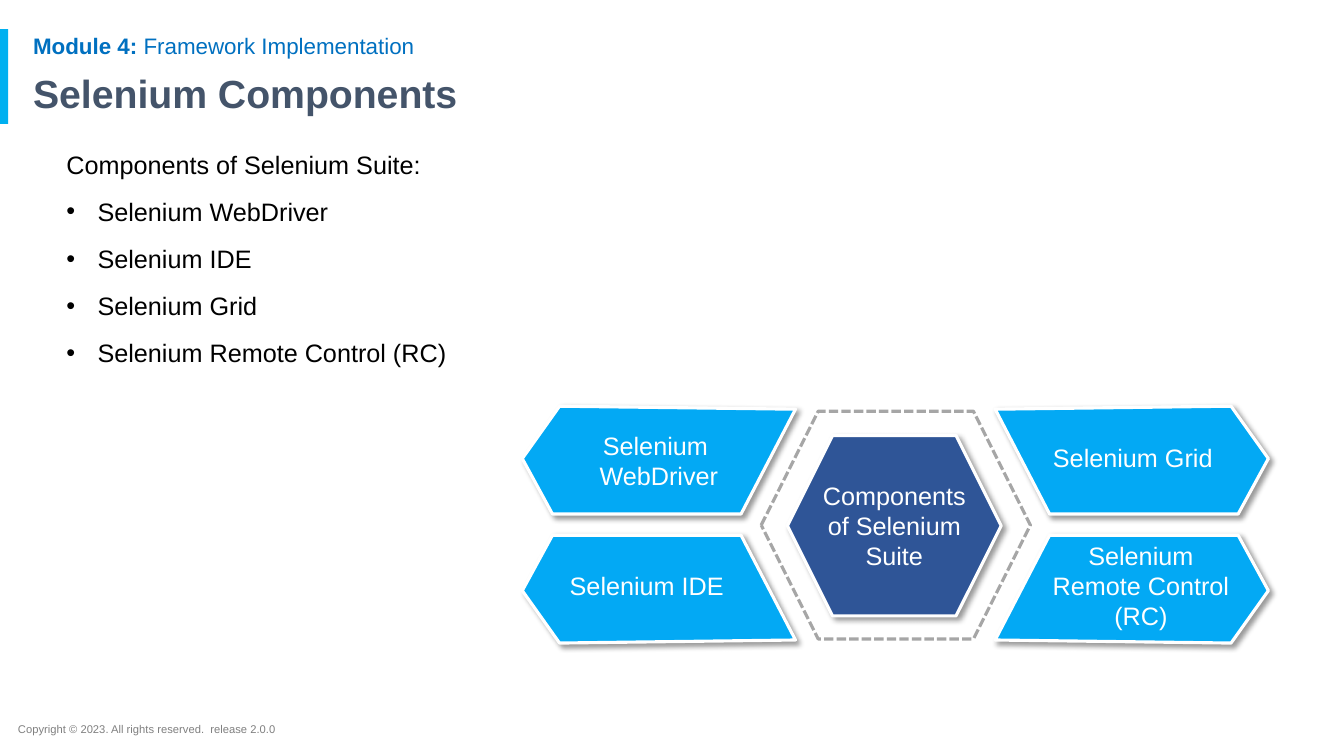
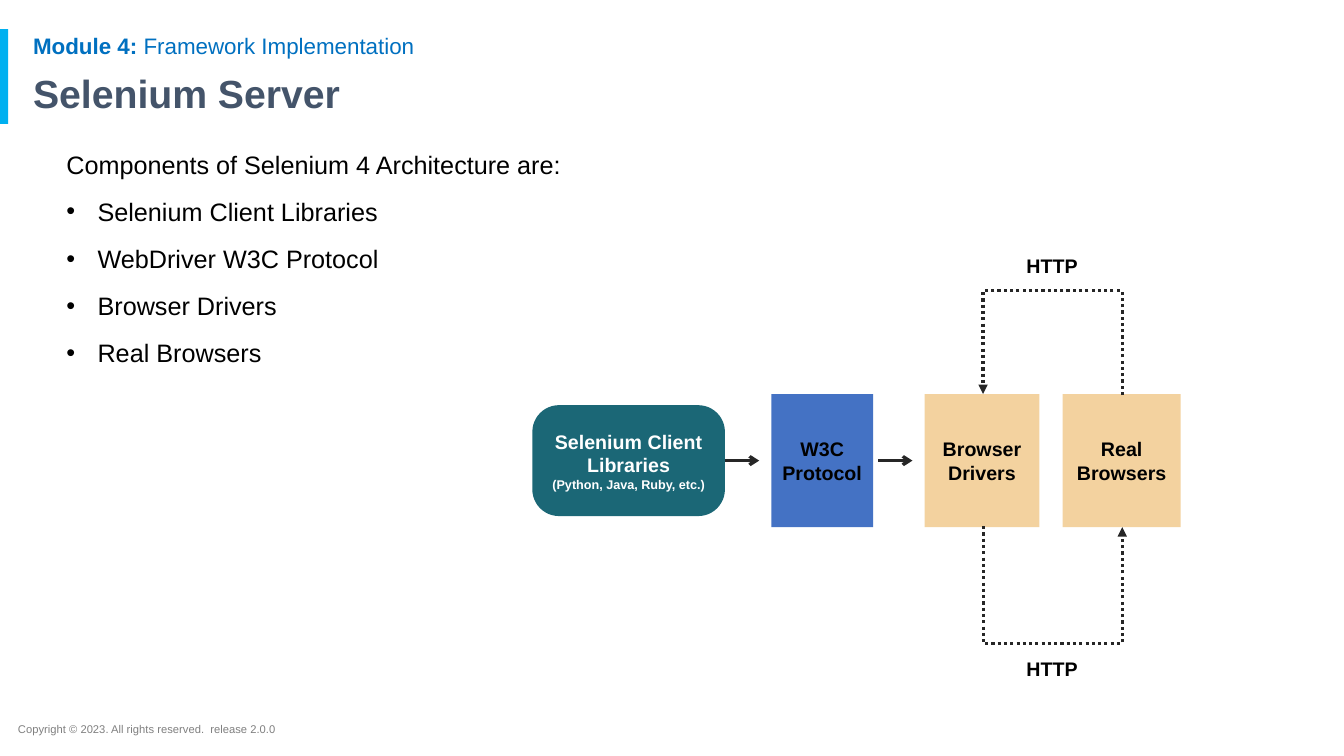
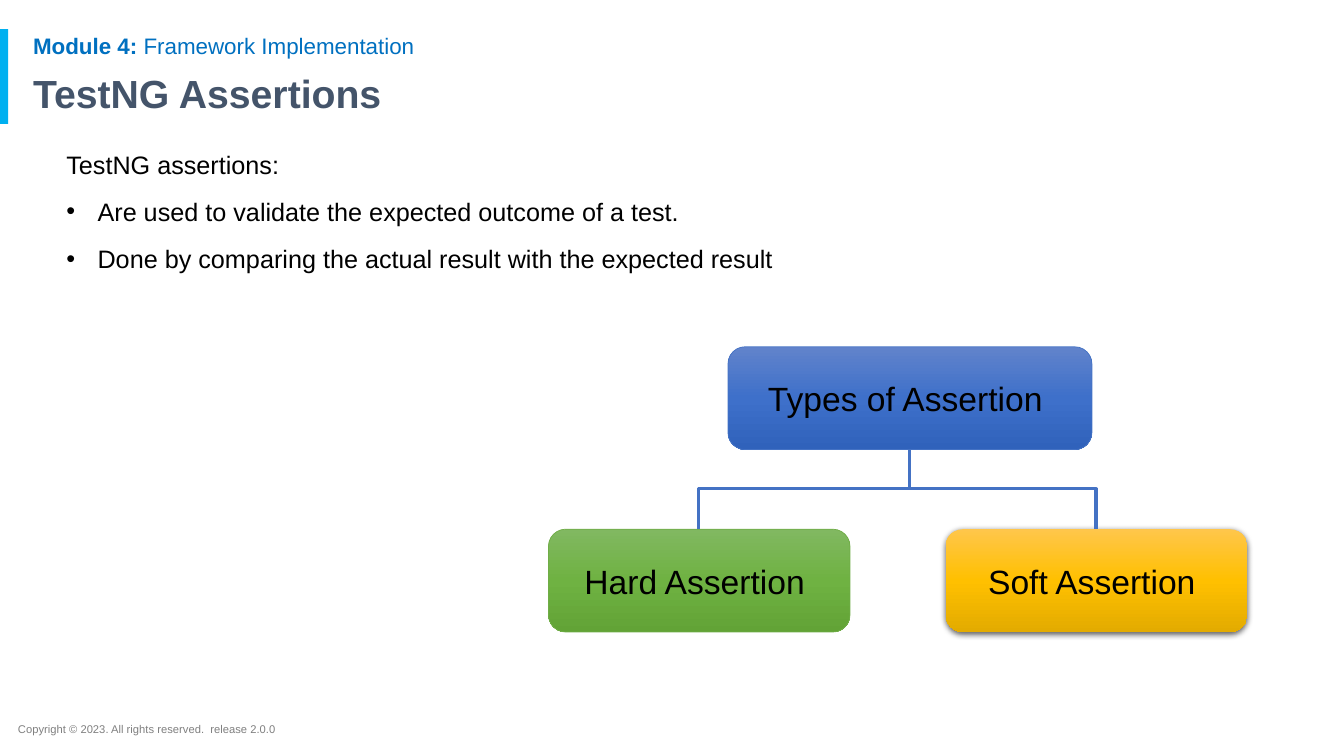
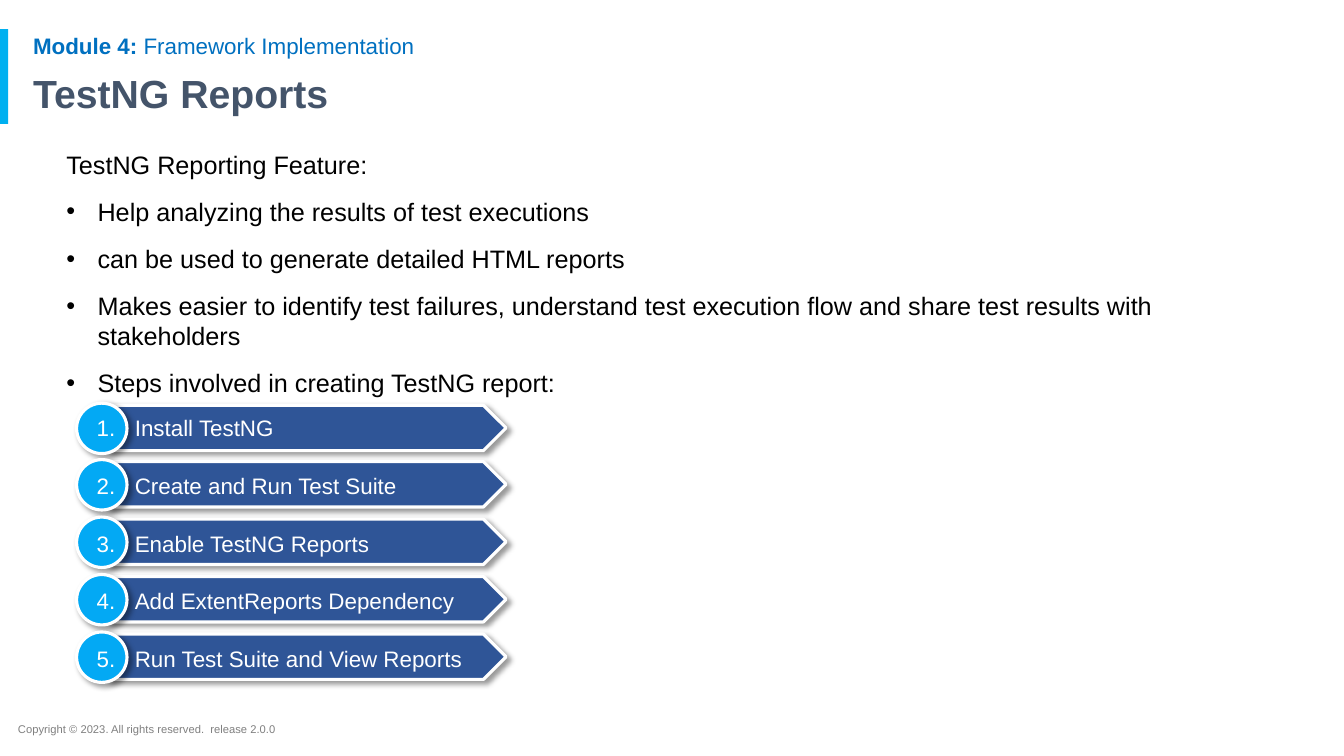
from dataclasses import dataclass

from lxml import etree
from pptx import Presentation, util as u
from pptx.dml.color import RGBColor
from pptx.enum import dml, shapes, text
from pptx.oxml.ns import qn

PX = 9144  # EMU per px, 100 px to the inch
SHAPE = shapes.MSO_SHAPE
CENTER = text.PP_ALIGN.CENTER


@dataclass(frozen=True)
class Theme:
    font: str = "Arial"
    # colours
    band: str = "00B0F0"
    module: str = "0070C0"
    title: str = "44546A"
    footer: str = "808080"
    black: str = "000000"
    white: str = "FFFFFF"
    navy: str = "2F5597"
    sky: str = "03A9F4"
    dash: str = "A6A6A6"
    teal: str = "1B6776"
    blue: str = "4472C4"
    green: str = "70AD47"
    sand: str = "F3D29F"
    ink: str = "262626"
    blue_fade: tuple = ("6183CB", "3E70CA", "3062BB")
    green_fade: tuple = ("81B861", "6FB242", "62A336")
    gold_fade: tuple = ("FFC64B", "FFC000", "E3AB00")
    # type sizes and line widths in points
    title_pt: int = 28
    node_pt: int = 24
    body_pt: int = 18
    step_pt: int = 16
    box_pt: int = 14
    note_pt: int = 9
    footer_pt: int = 8
    line_pt: float = 2.25
    thin_pt: float = 0.5
    # shadows: opacity %, blur pt, distance pt, angle
    soft_shadow: tuple = (40, 4, 3, 45)
    deep_shadow: tuple = (63, 4.5, 1.5, 90)


T = Theme()


# --- basics ---

def rgb(value):
    return RGBColor.from_string(value)


def emu(*lengths):
    return [n * PX for n in lengths]


def sub(parent, tag, **attrs):
    return etree.SubElement(parent, qn(tag), {k: str(v) for k, v in attrs.items()})


def set_font(p, size, color, bold=False):
    p.font.name, p.font.size, p.font.bold = T.font, u.Pt(size), bold
    p.font.color.rgb = rgb(color)


def write(tf, lines, color, bold=False, align=None):
    """Fill a frame with (text, size) lines, one paragraph each."""
    for i, (line, size) in enumerate(lines):
        p = tf.paragraphs[0] if i == 0 else tf.add_paragraph()
        p.text = line
        p.alignment = align
        set_font(p, size, color, bold)


def add_text(s, box, lines=(), color=T.black, bold=False, align=None, wrap=True):
    tf = s.shapes.add_textbox(*emu(*box)).text_frame
    tf.word_wrap = wrap
    write(tf, lines, color, bold, align)
    return tf


# --- shapes ---

def stroke(line, color, width=T.line_pt, dash=None):
    line.color.rgb = rgb(color)
    line.width = u.Pt(width)
    if dash:
        line.dash_style = dash


def fade(sp, colors):
    sp.fill.gradient()
    sp.fill.gradient_angle = 270
    stops = sp._element.spPr.find(".//" + qn("a:gsLst"))
    for stop in list(stops):
        stops.remove(stop)
    for pos, color in zip((0, 50000, 100000), colors):
        sub(sub(stops, "a:gs", pos=pos), "a:srgbClr", val=color)


def style(sp, fill=None, line=None, width=T.line_pt, dash=None, shadow=None):
    if fill is None:
        sp.fill.background()
    elif isinstance(fill, tuple):
        fade(sp, fill)
    else:
        sp.fill.solid()
        sp.fill.fore_color.rgb = rgb(fill)
    if line:
        stroke(sp.line, line, width, dash)
    else:
        sp.line.fill.background()
    sp.shadow.inherit = False
    if shadow:
        alpha, blur, dist, angle = shadow
        effects = sp._element.spPr.find(qn("a:effectLst"))
        outer = sub(effects, "a:outerShdw", blurRad=int(u.Pt(blur)), dist=int(u.Pt(dist)),
                    dir=angle * 60000, algn="tl", rotWithShape=0)
        sub(sub(outer, "a:srgbClr", val=T.black), "a:alpha", val=alpha * 1000)
    return sp


def caption(sp, lines, color=T.black, bold=False):
    tf = sp.text_frame
    tf.word_wrap = True
    tf.vertical_anchor = text.MSO_ANCHOR.MIDDLE
    write(tf, lines, color, bold, CENTER)


def add_shape(s, kind, box, **look):
    return style(s.shapes.add_shape(kind, *emu(*box)), **look)


def add_polygon(s, points):
    builder = s.shapes.build_freeform(*points[0], scale=float(PX))
    builder.add_line_segments(points[1:], close=True)
    return style(builder.convert_to_shape(), T.sky, T.white, shadow=T.soft_shadow)


# --- connectors ---

def finish_connector(c, color, dash=None, tail=None):
    stroke(c.line, color, dash=dash)
    if tail:
        sub(c._element.spPr.get_or_add_ln(), "a:tailEnd", type=tail)
    sub(c._element.spPr, "a:effectLst")


def add_arrow(s, x1, x2, y, source=None):
    c = s.shapes.add_connector(shapes.MSO_CONNECTOR.STRAIGHT, *emu(x1, y, x2, y))
    if source is not None:
        c.begin_connect(source, 3)
    finish_connector(c, T.ink, tail="arrow")


def add_elbow(s, joins, start, end, mid_y, color, **look):
    """Vertical-horizontal-vertical elbow; its crossbar runs at mid_y."""
    (x1, y1), (x2, y2) = start, end
    c = s.shapes.add_connector(shapes.MSO_CONNECTOR.ELBOW, *emu(x1, y1, x2, y2))
    (source, source_side), (target, target_side) = joins
    c.begin_connect(source, source_side)
    c.end_connect(target, target_side)

    # The preset runs sideways, so its box is turned by a quarter
    w, h = abs(y2 - y1), abs(x2 - x1)
    c.left, c.top = (int((a + b - n) * PX / 2) for a, b, n in ((x1, x2, w), (y1, y2, h)))
    c.width, c.height = emu(w, h)
    down, left = y2 > y1, x2 < x1
    xfrm = c._element.spPr.find(qn("a:xfrm"))
    xfrm.set("rot", str((90 if down and left else 270) * 60000))
    xfrm.set("flipH", str(int(down and not left)))
    xfrm.set("flipV", str(int(left and not down)))
    guides = c._element.spPr.find(".//" + qn("a:avLst"))
    ratio = round((mid_y - y1) / (y2 - y1) * 100000)
    sub(guides, "a:gd", name="adj1", fmla=f"val {ratio}")
    finish_connector(c, color, **look)


# --- shared slide parts ---

def new_slide(prs, title):
    s = prs.slides.add_slide(prs.slide_layouts[6])
    add_shape(s, SHAPE.RECTANGLE, (0, 29, 8, 94), fill=T.band)
    add_text(s, (8, 712, 713, 24),
             [("Copyright © 2023. All rights reserved.  release 2.0.0", T.footer_pt)], T.footer)
    p = add_text(s, (23, 30, 1150, 33)).paragraphs[0]
    p.line_spacing = 0.9
    for part, bold in (("Module 4: ", True), ("Framework Implementation", False)):
        r = p.add_run()
        r.text, r.font.bold = part, bold
    set_font(p, T.step_pt, T.module)
    tf = add_text(s, (23, 69, 1273, 54), [(title, T.title_pt)], T.title, bold=True)
    tf.paragraphs[0].line_spacing = 0.9
    return s


def add_item(tf, line, size, color, after, indent, hang, mark, **mark_attrs):
    p = tf.add_paragraph()
    p.text = line
    pPr = p._p.get_or_add_pPr()
    pPr.set("marL", str(indent * PX))
    pPr.set("indent", str(-hang * PX))
    sub(sub(pPr, "a:buClr"), "a:srgbClr", val=color)
    sub(pPr, "a:buFont", typeface=T.font)
    sub(pPr, mark, **mark_attrs)
    p.space_after = u.Pt(after)
    set_font(p, size, color)


def add_body(s, lead, bullets, steps=()):
    tf = add_text(s, (56, 143, 1124, 529), [(lead, T.body_pt)])
    tf.paragraphs[0].space_after = u.Pt(12)
    for line in bullets:
        add_item(tf, line, T.body_pt, T.black, 12, 31, 31, "a:buChar", char="•")
    for line in steps:
        add_item(tf, line, T.step_pt, T.white, 22, 68, 38, "a:buAutoNum", type="arabicPeriod")


# --- slides ---

def components_slide(prs):
    s = new_slide(prs, "Selenium Components")
    add_body(s, "Components of Selenium Suite:",
             ["Selenium WebDriver", "Selenium IDE", "Selenium Grid",
              "Selenium Remote Control (RC)"])

    # Hub
    hub = add_shape(s, SHAPE.HEXAGON, (781, 432, 212, 179), fill=T.navy, line=T.white,
                    shadow=T.soft_shadow)
    caption(hub, [("Components of Selenium Suite", T.body_pt)], T.white)
    hub.text_frame.margin_left = hub.text_frame.margin_right = 0
    add_shape(s, SHAPE.HEXAGON, (755, 408, 267, 226), line=T.dash,
              dash=dml.MSO_LINE.SQUARE_DOT)

    # Four wings, mirrored about the hub
    wing = [(789, 406), (735, 510), (548, 510), (518, 455), (555, 403)]
    wings = [add_polygon(s, [(1776 - x if right else x, 1041 - y if low else y)
                             for x, y in wing])
             for right in (False, True) for low in (False, True)]
    caption(wings[0], [("Selenium \vWebDriver", T.body_pt)], T.white)
    for label, box in (("Selenium IDE", (545, 561, 193, 45)),
                       ("Selenium Grid", (1024, 434, 199, 45)),
                       ("Selenium Remote Control (RC)", (1027, 531, 209, 101))):
        add_text(s, box, [(label, T.body_pt)], T.white, align=CENTER)


def server_slide(prs):
    s = new_slide(prs, "Selenium Server")
    add_body(s, "Components of Selenium 4 Architecture are:",
             ["Selenium Client Libraries", "WebDriver W3C Protocol", "Browser Drivers",
              "Real Browsers"])

    # Boxes
    client = add_shape(s, SHAPE.ROUNDED_RECTANGLE, (528, 402, 191, 110), fill=T.teal)
    client.adjustments[0] = 0.24
    caption(client, [("Selenium Client Libraries", T.box_pt),
                     ("(Python, Java, Ruby, etc.)", T.note_pt)], T.white, bold=True)
    boxes = []
    for label, x, w, fill in (("W3C Protocol", 765, 101, T.blue),
                              ("Browser Drivers", 917, 114, T.sand),
                              ("Real Browsers", 1054, 117, T.sand)):
        sp = add_shape(s, SHAPE.RECTANGLE, (x, 391, w, 132), fill=fill)
        caption(sp, [(label, T.box_pt)], bold=True)
        boxes.append(sp)
    _, drivers, browsers = boxes

    # HTTP loops and arrows
    loop = dict(color=T.ink, dash=dml.MSO_LINE.ROUND_DOT, tail="triangle")
    add_elbow(s, ((browsers, 0), (drivers, 0)), (1113, 392), (975, 391), 287, **loop)
    add_elbow(s, ((drivers, 2), (browsers, 2)), (975, 522), (1113, 523), 640, **loop)
    for y in (247, 647):
        add_text(s, (1008, y, 71, 34), [("HTTP", T.box_pt)], bold=True, align=CENTER, wrap=False)
    add_arrow(s, 719, 753, 457, client)
    add_arrow(s, 871, 905, 457)


def assertions_slide(prs):
    s = new_slide(prs, "TestNG Assertions")
    add_body(s, "TestNG assertions:",
             ["Are used to validate the expected outcome of a test.",
              "Done by comparing the actual result with the expected result"])

    # Tree
    nodes = []
    for label, box, look in (
            ("Types of Assertion ", (722, 344, 361, 102),
             dict(fill=T.blue_fade, line=T.blue, width=T.thin_pt)),
            ("Hard Assertion ", (544, 525, 299, 102),
             dict(fill=T.green_fade, line=T.green, width=T.thin_pt)),
            ("Soft Assertion ", (938, 525, 299, 102),
             dict(fill=T.gold_fade, shadow=T.deep_shadow))):
        sp = add_shape(s, SHAPE.ROUNDED_RECTANGLE, box, **look)
        caption(sp, [(label, T.node_pt)])
        nodes.append(sp)
    root, *leaves = nodes
    for leaf, x in zip(leaves, (693, 1087)):
        add_elbow(s, ((root, 2), (leaf, 0)), (902, 445), (x, 525), 485, T.blue)


def reports_slide(prs):
    s = new_slide(prs, "TestNG Reports")
    steps = ["Install TestNG", "Create and Run Test Suite", "Enable TestNG Reports",
             "Add ExtentReports Dependency", "Run Test Suite and View Reports"]

    # Step plates lie behind the numbered text
    for i in range(len(steps)):
        y = 400 + 227 * i // (len(steps) - 1)
        for kind, box, fill in ((SHAPE.PENTAGON, (108, y + 2, 394, 45), T.navy),
                                (SHAPE.OVAL, (76, y, 50, 50), T.sky)):
            add_shape(s, kind, box, fill=fill, line=T.white, shadow=T.soft_shadow)
    add_body(s, "TestNG Reporting Feature:",
             ["Help analyzing the results of test executions",
              "can be used to generate detailed HTML reports",
              "Makes easier to identify test failures, understand test execution flow "
              "and share test results with stakeholders",
              "Steps involved in creating TestNG report:"], steps)


def main():
    prs = Presentation()
    prs.slide_width, prs.slide_height = emu(1333, 750)
    components_slide(prs)
    server_slide(prs)
    assertions_slide(prs)
    reports_slide(prs)
    prs.save("out.pptx")


if __name__ == "__main__":
    main()
